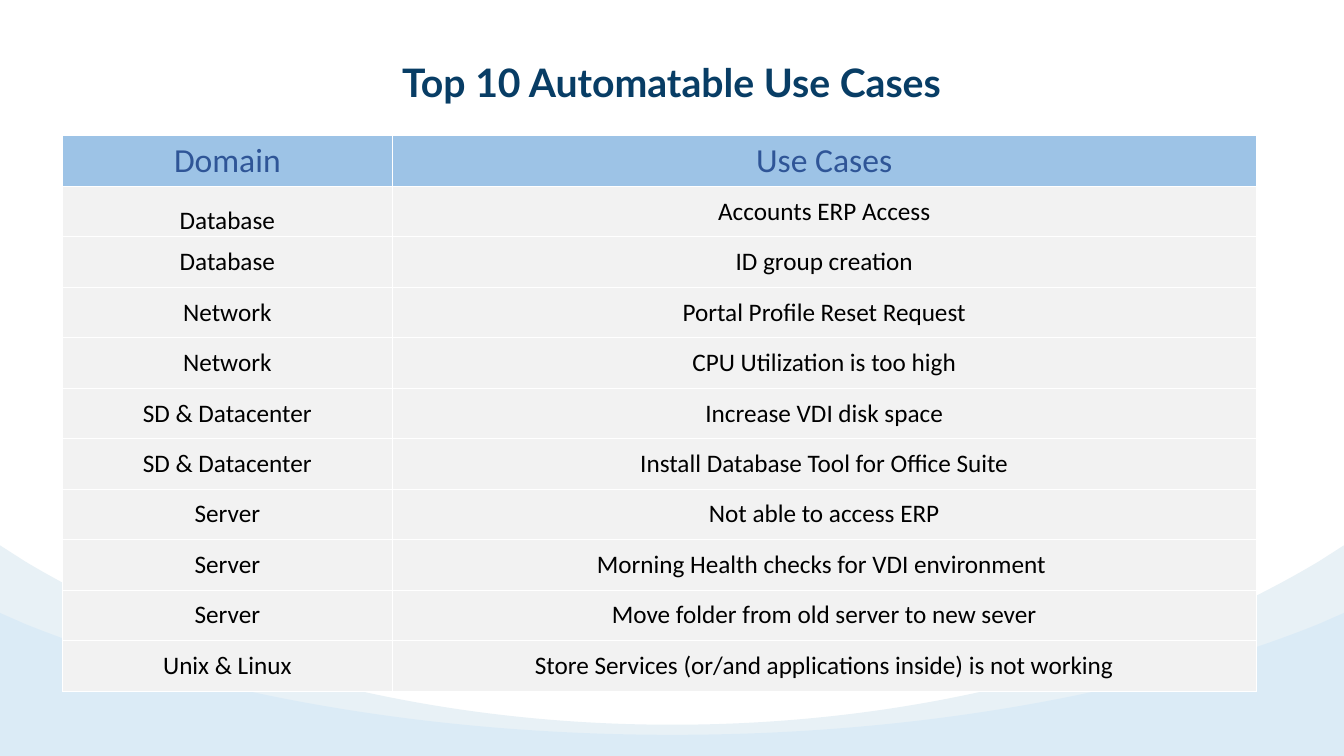
from lxml.etree import SubElement
from pptx import Presentation
from pptx.dml.color import RGBColor
from pptx.enum.text import MSO_ANCHOR, MSO_AUTO_SIZE, PP_ALIGN
from pptx.oxml.ns import qn
from pptx.util import Inches, Pt

NAVY = RGBColor(0x08, 0x3D, 0x65)
HEADER_TEXT = RGBColor(0x2F, 0x55, 0x97)
HEADER_FILL = RGBColor(0x9D, 0xC3, 0xE6)
ROW_FILL = RGBColor(0xF2, 0xF2, 0xF2)
BLACK = RGBColor(0, 0, 0)
WHITE = RGBColor(0xFF, 0xFF, 0xFF)
PALE_WAVE = RGBColor(0xE8, 0xF1, 0xF6)
BLUE_WAVE = RGBColor(0x7A, 0xC2, 0xF9)

SLIDE_WIDTH, SLIDE_HEIGHT = 13.33, 7.5

HEADER_FONT = {"name": "Calibri", "size": Pt(24)}
ROW_FONT = {"name": "Calibri", "size": Pt(18)}
TITLE_FONT = {"name": "Lato", "size": Pt(28), "bold": True}
NO_MARGINS = dict.fromkeys(
    ("margin_left", "margin_top", "margin_right", "margin_bottom"), 0)
THIN_MARGINS = {**dict.fromkeys(NO_MARGINS, Inches(0.01)), "margin_bottom": 0}

HEADINGS = ("Domain", "Use Cases")
USE_CASES = [
    ("Database", "Accounts ERP Access"),
    ("Database", "ID group creation"),
    ("Network", "Portal Profile Reset Request"),
    ("Network", "CPU Utilization is too high"),
    ("SD & Datacenter", "Increase VDI disk space"),
    ("SD & Datacenter", "Install Database Tool for Office Suite"),
    ("Server", "Not able to access ERP"),
    ("Server", "Morning Health checks for VDI environment "),
    ("Server", "Move folder from old server to new sever"),
    ("Unix & Linux", "Store Services (or/and applications inside) is not working"),
]


def apply_format(target, values):
    for attribute, value in values.items():
        setattr(target, attribute, value)


def write_centred(text_frame, text, font, color):
    paragraph = text_frame.paragraphs[0]
    paragraph.alignment = PP_ALIGN.CENTER
    run = paragraph.add_run()
    run.text = text
    apply_format(run.font, font)
    run.font.color.rgb = color


def add_title(slide, text):
    title = slide.shapes.title
    apply_format(title, {"left": Inches(2.98), "top": Inches(0.58),
                         "width": Inches(7.36), "height": Inches(0.47)})
    apply_format(title.text_frame, {**NO_MARGINS, "word_wrap": True,
                                    "auto_size": MSO_AUTO_SIZE.NONE,
                                    "vertical_anchor": MSO_ANCHOR.MIDDLE})
    write_centred(title.text_frame, text, TITLE_FONT, NAVY)


def bend_segments(shape, first):
    """Turn three straight segments, from index first, into one Bézier curve."""
    segments = list(shape._element.iter(qn("a:lnTo")))[first:first + 3]
    outline = segments[0].getparent()
    curve = SubElement(outline, qn("a:cubicBezTo"))
    segments[0].addprevious(curve)
    for segment in segments:
        curve.append(segment[0])
        outline.remove(segment)


def add_wave(slide, edge_top, controls, color, alpha=100):
    """Fill below a valley whose left half is a curve, mirrored on the right."""
    left_half = [(0, edge_top), *controls]
    right_half = [(SLIDE_WIDTH - x, y) for x, y in reversed(left_half[:-1])]
    corners = [(SLIDE_WIDTH, SLIDE_HEIGHT), (0, SLIDE_HEIGHT)]
    outline = [(Inches(x), Inches(y)) for x, y in left_half + right_half + corners]
    builder = slide.shapes.build_freeform(*outline[0])
    builder.add_line_segments(outline[1:], close=True)
    wave = builder.convert_to_shape()
    for first in (4, 1):
        bend_segments(wave, first)
    wave.shadow.inherit = False
    wave.line.fill.background()
    wave.fill.solid()
    wave.fill.fore_color.rgb = color
    if alpha < 100:
        tint = wave.fill._xPr.find(f".//{qn('a:srgbClr')}")
        SubElement(tint, qn("a:alpha"), val=str(alpha * 1000))


def add_borders(cell):
    properties = cell._tc.get_or_add_tcPr()
    for side in ("lnL", "lnR", "lnT", "lnB"):
        border = SubElement(properties, qn(f"a:{side}"), w=str(Pt(0.5)))
        fill = SubElement(border, qn("a:solidFill"))
        SubElement(fill, qn("a:srgbClr"), val=str(WHITE))


def fill_cell(cell, text, font, color, background):
    add_borders(cell)
    cell.fill.solid()
    cell.fill.fore_color.rgb = background
    cell.vertical_anchor = MSO_ANCHOR.MIDDLE
    write_centred(cell.text_frame, text, font, color)


def add_use_case_table(slide):
    rows = [HEADINGS, *USE_CASES]
    table = slide.shapes.add_table(
        len(rows), len(HEADINGS), Inches(0.62), Inches(1.34),
        Inches(11.84), Inches(5.51)).table
    for column, width in zip(table.columns, (3.27, 8.57)):
        column.width = Inches(width)
    for row_index, texts in enumerate(rows):
        style = ((ROW_FONT, BLACK, ROW_FILL) if row_index
                 else (HEADER_FONT, HEADER_TEXT, HEADER_FILL))
        for column_index, text in enumerate(texts):
            fill_cell(table.cell(row_index, column_index), text, *style)
    first_domain = table.cell(1, 0)
    apply_format(first_domain, {**THIN_MARGINS,
                                "vertical_anchor": MSO_ANCHOR.BOTTOM})


def main():
    deck = Presentation()
    apply_format(deck, {"slide_width": Inches(SLIDE_WIDTH),
                        "slide_height": Inches(SLIDE_HEIGHT)})
    slide = deck.slides.add_slide(deck.slide_layouts.get_by_name("Title Only"))
    add_title(slide, "Top 10 Automatable Use Cases")
    add_wave(slide, 5.41,
             [(0.25, 5.57), (1.94, 6.58), (4.2, 7.19), (6.67, 7.19)], PALE_WAVE)
    add_wave(slide, 6.08,
             [(0.25, 6.19), (1.94, 6.87), (4.2, 7.29), (6.67, 7.29)], BLUE_WAVE,
             alpha=11)
    add_use_case_table(slide)
    deck.save("out.pptx")


if __name__ == "__main__":
    main()
